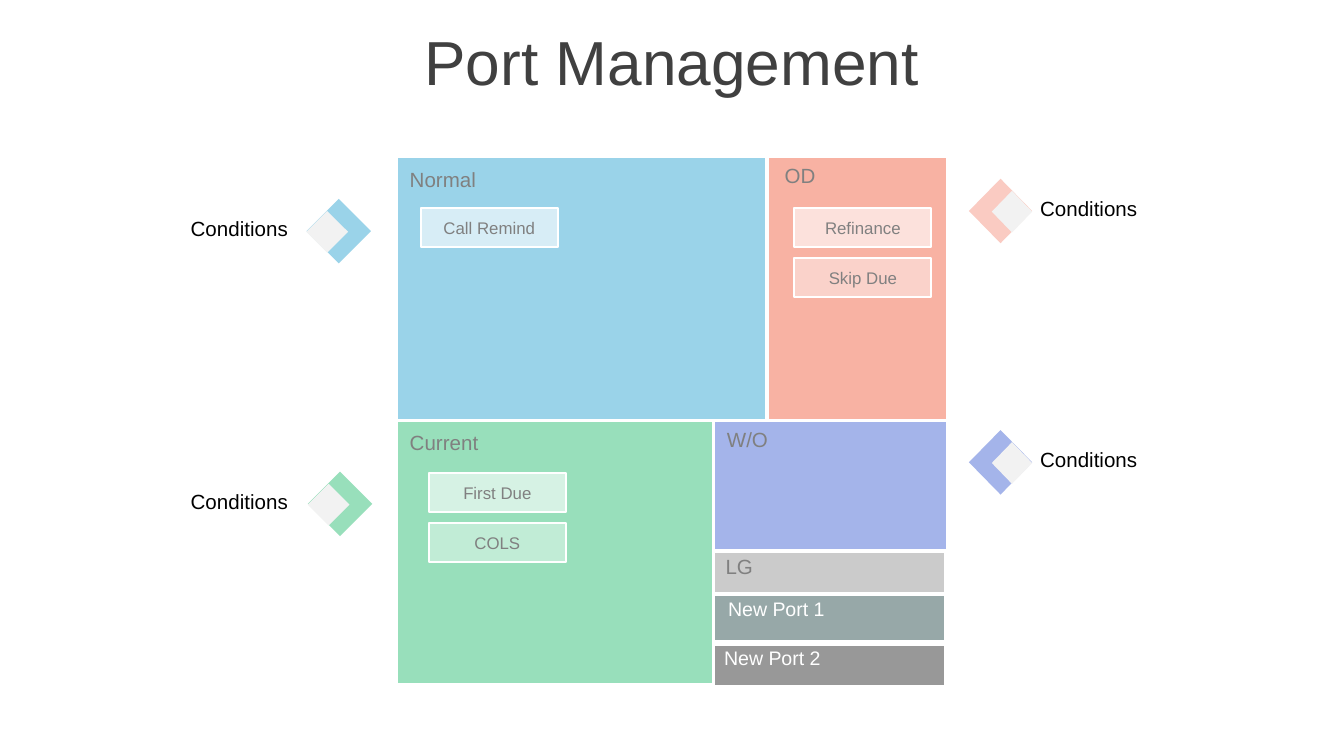
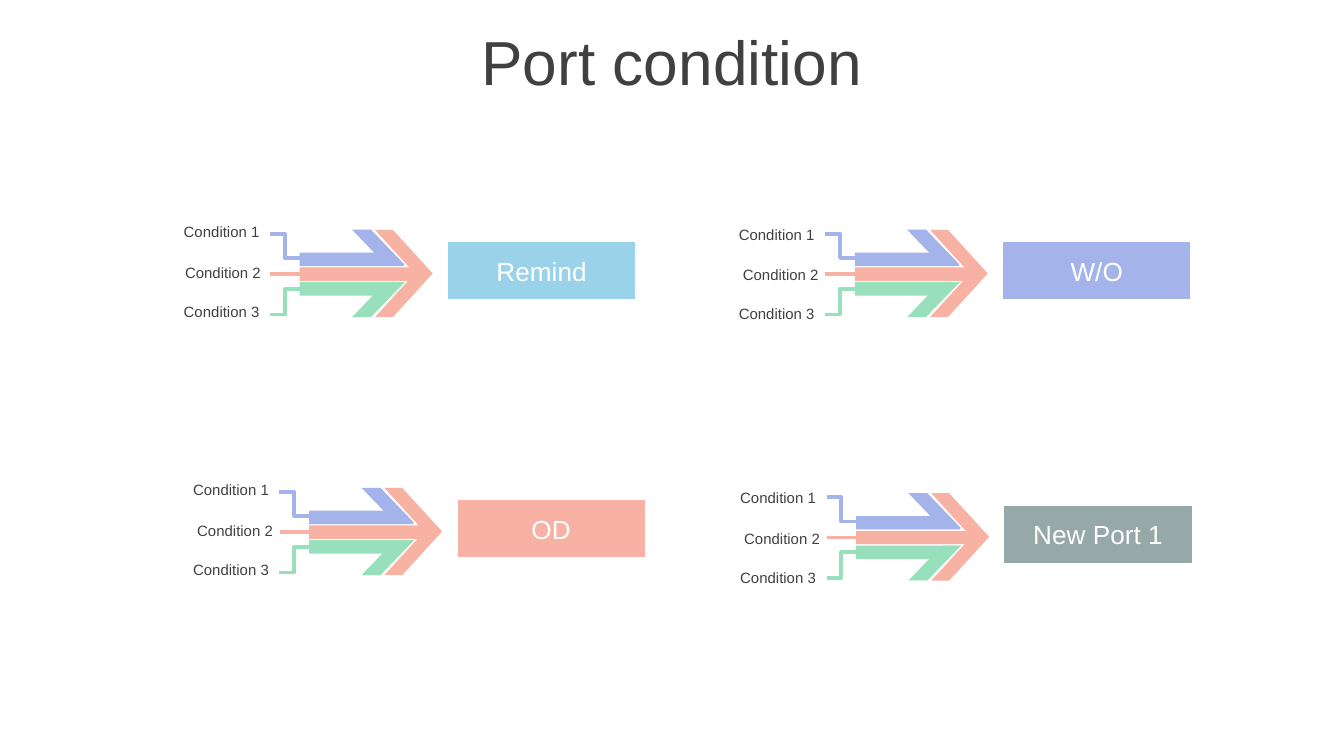
from dataclasses import dataclass

from lxml import etree
from pptx import Presentation
from pptx.dml.color import RGBColor
from pptx.enum.shapes import MSO_CONNECTOR, MSO_SHAPE
from pptx.enum.text import MSO_ANCHOR, PP_ALIGN
from pptx.oxml.ns import qn
from pptx.util import Pt

PX = 9144
PAGE_WIDTH = 1000 * PX
PAGE_HEIGHT = PAGE_WIDTH * 9 // 16
FONT = "Arial"
RECTANGLE = MSO_SHAPE.RECTANGLE
DIAMOND = MSO_SHAPE.DIAMOND
CHEVRON = MSO_SHAPE.CHEVRON
PARALLELOGRAM = MSO_SHAPE.PARALLELOGRAM
STRAIGHT, ELBOW = MSO_CONNECTOR.STRAIGHT, MSO_CONNECTOR.ELBOW
LEFT, CENTER, RIGHT = PP_ALIGN.LEFT, PP_ALIGN.CENTER, PP_ALIGN.RIGHT
TOP, MIDDLE = MSO_ANCHOR.TOP, MSO_ANCHOR.MIDDLE

BLUE, CORAL, GREEN, VIOLET = "9AD3E9", "F8B2A3", "98DFBB", "A4B4EA"
PALE_CORAL, SLATE = "FACBC2", "97A8A8"
WHITE, BLACK, DARK, GREY, LIGHT = "FFFFFF", "000000", "404040", "808080", "F2F2F2"


@dataclass(frozen=True)
class Tile:
    left: int
    top: int
    width: int
    height: int
    color: str
    label: str
    label_left: int
    label_top: int
    label_size: float = 11
    label_color: str = GREY


@dataclass(frozen=True)
class Chip:
    left: int
    top: int
    color: str
    label: str


@dataclass(frozen=True)
class Marker:
    left: int
    top: int
    width: int
    color: str
    inner_left: int
    inner_width: int
    label_left: int


@dataclass(frozen=True)
class Flow:
    left: int
    top: int
    color: str
    result: str
    label_shift: int
    middle_indent: int = 3


TILES = [
    Tile(295, 116, 276, 197, BLUE, "Normal", 295, 119),
    Tile(571, 116, 134, 197, CORAL, "OD", 574, 116),
    Tile(295, 313, 236, 197, GREEN, "Current", 295, 315),
    Tile(531, 313, 174, 97, VIOLET, "W/O", 531, 313),
    Tile(531, 410, 173, 32, "CBCBCB", "LG", 530, 407),
    Tile(531, 442, 173, 36, SLATE, "New Port 1", 532, 439, 10.5, WHITE),
    Tile(531, 479, 173, 32, "989898", "New Port 2", 529, 476, 10.5, WHITE),
]
CHIPS = [
    Chip(313, 155, "D7EDF6", "Call Remind"),
    Chip(591, 155, "FCE1DC", "Refinance"),
    Chip(591, 192, "FAD2CA", "Skip Due"),
    Chip(319, 352, "D6F2E4", "First Due"),
    Chip(319, 389, "C1ECD6", "COLS"),
]
MARKERS = [
    Marker(228, 148, 48, BLUE, 228, 31, 132),
    Marker(229, 351, 48, GREEN, 229, 31, 132),
    Marker(721, 133, 47, PALE_CORAL, 738, 30, 764),
    Marker(721, 320, 47, VIOLET, 738, 30, 764),
]
FLOWS = [
    Flow(223, 171, BLUE, "Remind", -10, 1),
    Flow(230, 363, CORAL, "OD", -10),
    Flow(636, 171, VIOLET, "W/O", -8),
    Flow(637, 367, SLATE, "New Port 1", -8),
]


def rgb(color: str) -> RGBColor:
    return RGBColor.from_string(color)


def write(shape, text: str, *, size: float, color: str, align=LEFT, anchor=TOP) -> None:
    frame = shape.text_frame
    frame.word_wrap = True
    frame.vertical_anchor = anchor
    para = frame.paragraphs[0]
    para.alignment = align
    span = para.add_run()
    span.text = text
    span.font.name = FONT
    span.font.size = Pt(size)
    span.font.color.rgb = rgb(color)


def add_text(page, left: int, top: int, width: int, height: int, text: str, **style) -> None:
    box = page.shapes.add_textbox(left * PX, top * PX, width * PX, height * PX)
    write(box, text, **style)


def paint(shape, fill: str, outline: int = 0) -> None:
    shape.shadow.inherit = False
    shape.fill.solid()
    shape.fill.fore_color.rgb = rgb(fill)
    if outline:
        shape.line.color.rgb = rgb(WHITE)
        shape.line.width = Pt(outline)
    else:
        shape.line.fill.background()


def add_block(parent, kind, left: int, top: int, width: int, height: int,
              fill: str, outline: int = 0):
    shape = parent.shapes.add_shape(kind, left * PX, top * PX, width * PX, height * PX)
    paint(shape, fill, outline)
    return shape


def add_outline(parent, points: list[tuple[int, int]], fill: str) -> None:
    builder = parent.shapes.build_freeform(*points[0], scale=PX)
    builder.add_line_segments(points[1:], close=True)
    paint(builder.convert_to_shape(), fill)


def add_wire(parent, kind, start: tuple[int, int], end: tuple[int, int], color: str) -> None:
    wire = parent.shapes.add_connector(kind, *(value * PX for value in start + end))
    wire.line.color.rgb = rgb(color)
    wire.line.width = Pt(2)
    etree.SubElement(wire.element.spPr, qn("a:effectLst"))


def add_page(deck, title: str):
    page = deck.slides.add_slide(deck.slide_layouts[6])
    add_text(page, 0, 14, 1000, 63, title, size=33.3, color=DARK, align=CENTER, anchor=MIDDLE)
    return page


def draw_tile(page, tile: Tile) -> None:
    add_block(page, RECTANGLE, tile.left, tile.top, tile.width, tile.height, tile.color, 2)
    add_text(page, tile.label_left, tile.label_top, 102, 29, tile.label,
             size=tile.label_size, color=tile.label_color)


def draw_chip(page, chip: Chip) -> None:
    shape = add_block(page, RECTANGLE, chip.left, chip.top, 102, 29, chip.color, 1)
    write(shape, chip.label, size=9, color=GREY, align=CENTER, anchor=MIDDLE)


def draw_marker(page, marker: Marker) -> None:
    add_block(page, DIAMOND, marker.left, marker.top, marker.width, 48, marker.color)
    add_block(page, DIAMOND, marker.inner_left, marker.top + 9, marker.inner_width, 31, LIGHT)
    add_text(page, marker.label_left, marker.top + 8, 98, 29, "Conditions",
             size=11, color=BLACK)


def draw_arrow(page, x: int, y: int) -> None:
    group = page.shapes.add_group_shape()
    add_block(group, RECTANGLE, x, y + 28, 89, 10, CORAL)
    add_block(group, CHEVRON, x + 56, y, 43, 65, CORAL).adjustments[0] = 0.69
    add_outline(group, [(x, y + 39), (x + 78, y + 39), (x + 68, y + 49), (x, y + 49)], GREEN)
    add_outline(group, [(x, y + 17), (x + 69, y + 17), (x + 78, y + 27), (x, y + 27)], VIOLET)
    for wing_top, color in ((39, GREEN), (0, VIOLET)):
        wing = add_block(group, PARALLELOGRAM, x + 39, y + wing_top, 39, 26, color)
        wing.adjustments[0] = 0.96
        if wing_top == 0:
            wing.element.spPr.find(qn("a:xfrm")).set("flipH", "1")
    for kind, start, end, color in (
        (ELBOW, 21, 3, VIOLET), (STRAIGHT, 33, 33, CORAL), (ELBOW, 44, 63, GREEN),
    ):
        add_wire(group, kind, (x, y + start), (x - 22, y + end), color)


def draw_flow(page, flow: Flow) -> None:
    x, y = flow.left, flow.top
    for number, (indent, drop) in enumerate(((0, 0), (flow.middle_indent, 30), (0, 59)), 1):
        add_text(page, x - 298 + indent, y + flow.label_shift + drop, 278, 24,
                 f"Condition {number}", size=8, color=DARK, align=RIGHT)
    draw_arrow(page, x, y)
    result = add_block(page, RECTANGLE, x + 109, y + 8, 142, 45, flow.color, 2)
    write(result, flow.result, size=14, color=WHITE, align=CENTER, anchor=MIDDLE)


def main() -> None:
    deck = Presentation()
    deck.slide_width, deck.slide_height = PAGE_WIDTH, PAGE_HEIGHT

    management = add_page(deck, "Port Management")
    for tile in TILES:
        draw_tile(management, tile)
    for chip in CHIPS:
        draw_chip(management, chip)
    for marker in MARKERS:
        draw_marker(management, marker)

    condition = add_page(deck, "Port condition")
    for flow in FLOWS:
        draw_flow(condition, flow)

    deck.save("out.pptx")


if __name__ == "__main__":
    main()
